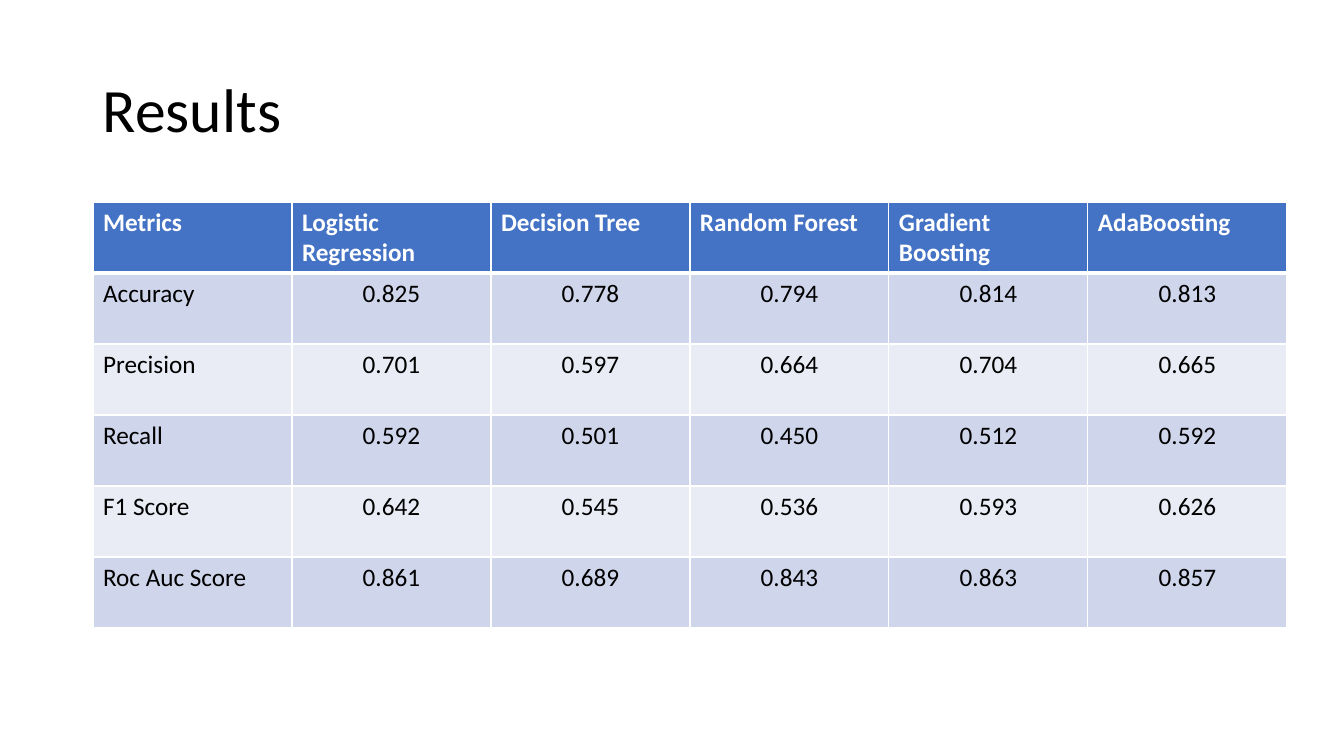
"""Build the Results slide: a title and a table of model metrics."""
from lxml import etree
from pptx import Presentation, util as u
from pptx.dml.color import RGBColor
from pptx.enum import text
from pptx.oxml import ns


def px(n):
    return u.Emu(round(n * 914400 / 100.8))


def style(para, size, hue, bold=False):
    for run in para.runs:
        font = run.font
        font.name, font.size, font.bold = "Calibri", u.Pt(size), bold
        font.color.rgb = RGBColor.from_string(hue)


deck = Presentation()
deck.slide_width, deck.slide_height = px(1344), px(756)
slide = deck.slides.add_slide(deck.slide_layouts[6])

title = slide.shapes.add_textbox(px(93), px(40), px(1159), px(146)).text_frame
title.word_wrap = True
title.vertical_anchor = text.MSO_ANCHOR.MIDDLE
title.text = "Results"
title.paragraphs[0].line_spacing = 0.9
style(title.paragraphs[0], 44, "000000")

rows = [
    ["Metrics", "Logistic\nRegression", "Decision Tree", "Random Forest",
     "Gradient Boosting", "AdaBoosting"],
    ["Accuracy", "0.825", "0.778", "0.794", "0.814", "0.813"],
    ["Precision", "0.701", "0.597", "0.664", "0.704", "0.665"],
    ["Recall", "0.592", "0.501", "0.450", "0.512", "0.592"],
    ["F1 Score", "0.642", "0.545", "0.536", "0.593", "0.626"],
    ["Roc Auc Score", "0.861", "0.689", "0.843", "0.863", "0.857"],
]
wide, high = 199, 71
grid = slide.shapes.add_table(len(rows), len(rows[0]), px(93), px(202),
                              px(wide * len(rows[0])), px(high * len(rows))).table
for col in grid.columns:
    col.width = px(wide)

for r, row in enumerate(rows):
    grid.rows[r].height = px(high)
    head = r == 0
    fill = "4472C4" if head else "CFD5EA" if r % 2 else "E9EBF5"
    for c, words in enumerate(row):
        cell = grid.cell(r, c)
        cell.text_frame.text = words
        for para in cell.text_frame.paragraphs:
            style(para, 18, "FFFFFF" if head else "000000", head)
            if r and c:
                para.alignment = text.PP_ALIGN.CENTER
        cell.fill.solid()
        cell.fill.fore_color.rgb = RGBColor.from_string(fill)
        props = cell._tc.get_or_add_tcPr()
        for k, side in enumerate(("lnL", "lnR", "lnT", "lnB")):
            thick = (r, side) in ((0, "lnB"), (1, "lnT"))
            line = etree.Element(ns.qn("a:" + side), w=str(u.Pt(3 if thick else 1)))
            paint = etree.SubElement(line, ns.qn("a:solidFill"))
            etree.SubElement(paint, ns.qn("a:srgbClr"), val="FFFFFF")
            props.insert(k, line)

deck.save("out.pptx")
